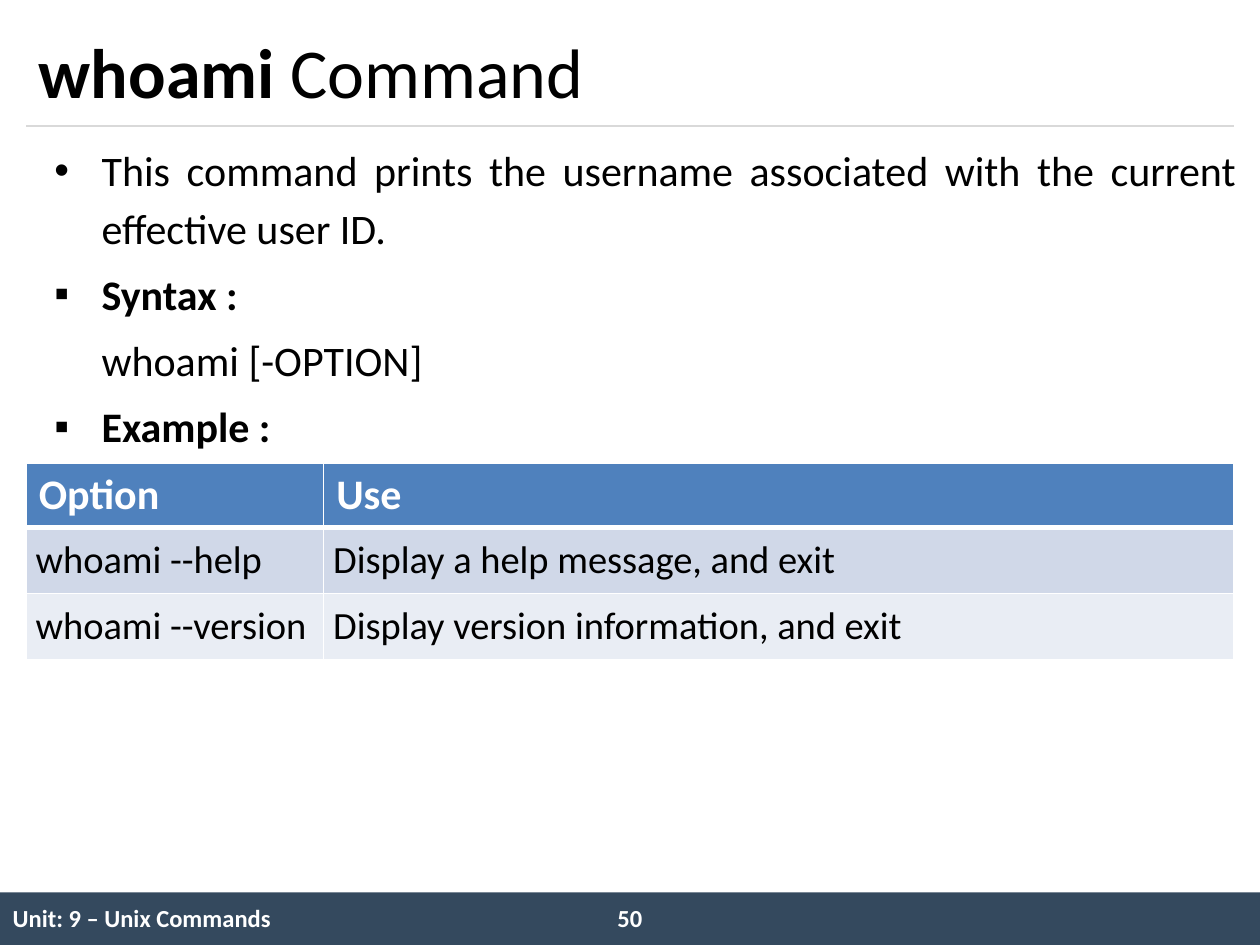
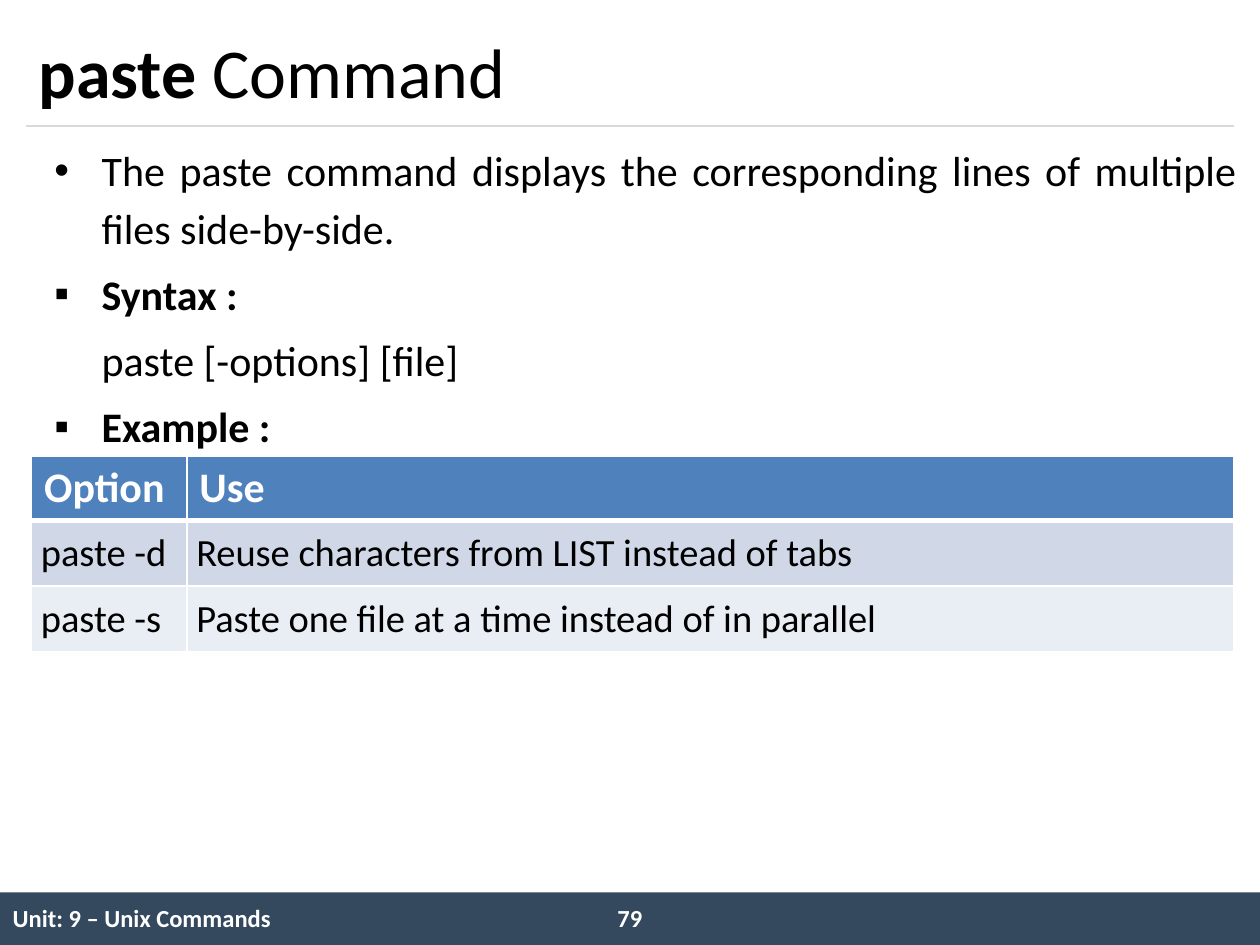
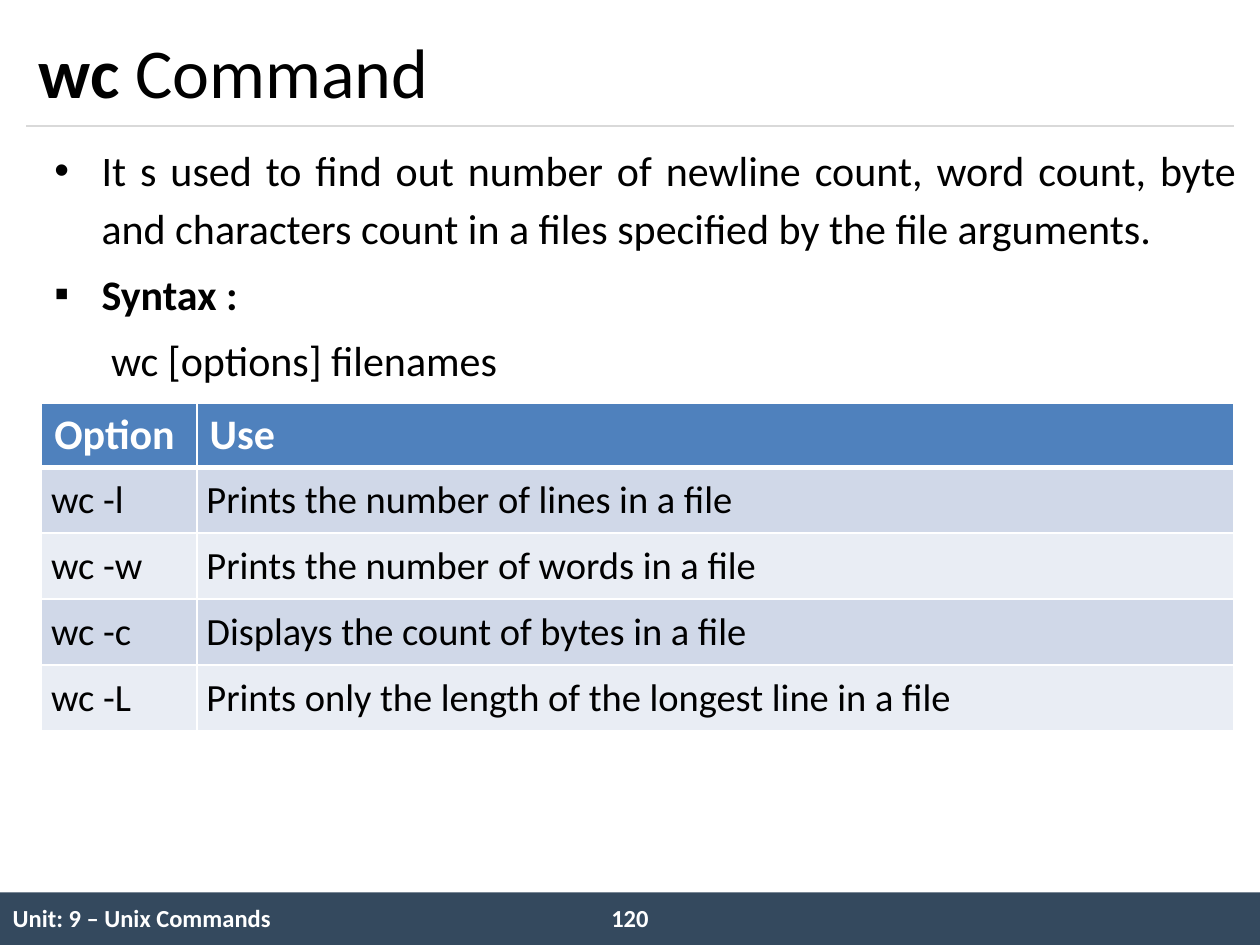
from lxml import etree
from pptx import Presentation
from pptx.dml.color import RGBColor
from pptx.enum import shapes, text
from pptx.oxml import ns
from pptx.util import Pt

# Shared style
FONT = "Calibri"
BLACK = RGBColor(0x00, 0x00, 0x00)
WHITE = RGBColor(0xFF, 0xFF, 0xFF)
NAVY = RGBColor(0x34, 0x49, 0x5E)
RULE_GREY = RGBColor(0xD9, 0xD9, 0xD9)
HEADER_BLUE = RGBColor(0x4F, 0x81, 0xBD)
ROW_BANDS = RGBColor(0xD0, 0xD8, 0xE8), RGBColor(0xE9, 0xED, 0xF4)
WIDTH, HEIGHT = 720, 540
LEFT, RIGHT = 15, 705
FOOTER_TOP = 510
FOOTER_COLUMNS = 366, 48, 306
INDENT = 27
HEADER_HEIGHT, ROW_HEIGHT = 36.5, 37.7
UNIT = "Unit: 9 – Unix Commands"

# Description, syntax, whether an example follows, table place and option rows
COMMANDS = [
    dict(name="whoami", page=50, example=True,
         about="This command prints the username associated with the current "
               "effective user ID.",
         syntax="whoami [-OPTION]", syntax_indent=INDENT,
         table_left=15, table_top=264.9, option_width=170,
         options=[("whoami --help", "Display a help message, and exit"),
                  ("whoami --version", "Display version information, and exit")]),
    dict(name="paste", page=79, example=True,
         about="The paste command displays the corresponding lines of multiple "
               "files side-by-side.",
         syntax="paste [-options] [file]", syntax_indent=INDENT,
         table_left=18, table_top=260.8, option_width=88.8,
         options=[("paste -d", "Reuse characters from LIST instead of tabs"),
                  ("paste -s", "Paste one file at a time instead of in parallel")]),
    dict(name="wc", page=120, example=False,
         about="It s used to find out number of newline count, word count, byte "
               "and characters count in a files specified by the file arguments.",
         syntax="wc [options] filenames", syntax_indent=INDENT + 5.5,
         table_left=23.8, table_top=230.5, option_width=88.8,
         options=[("wc -l", "Prints the number of lines in a file"),
                  ("wc -w", "Prints the number of words in a file"),
                  ("wc -c", "Displays the count of bytes in a file"),
                  ("wc -L", "Prints only the length of the longest line in a file")]),
]


def write(paragraph, words, size=24, color=BLACK, bold=False, align=None):
    """Add one formatted run to a paragraph."""
    run = paragraph.add_run()
    run.text = words
    run.font.name = FONT
    run.font.size = Pt(size)
    run.font.bold = bold
    run.font.color.rgb = color
    if align is not None:
        paragraph.alignment = align


def set_bullet(paragraph, bullet, margin):
    properties = paragraph._p.get_or_add_pPr()
    properties.set("marL", str(Pt(margin)))
    properties.set("indent", str(Pt(-margin if bullet else 0)))
    if bullet:
        etree.SubElement(properties, ns.qn("a:buChar"), char=bullet)
    else:
        etree.SubElement(properties, ns.qn("a:buNone"))


def set_borders(cell, color=None, bottom=1):
    """Draw the four borders, or hide them when there is no colour."""
    properties = cell._tc.get_or_add_tcPr()
    for side, width in (("L", 1), ("R", 1), ("T", 1), ("B", bottom)):
        line = etree.SubElement(properties, ns.qn(f"a:ln{side}"), w=str(Pt(width)))
        if color is None:
            etree.SubElement(line, ns.qn("a:noFill"))
        else:
            fill = etree.SubElement(line, ns.qn("a:solidFill"))
            etree.SubElement(fill, ns.qn("a:srgbClr"), val=str(color))


class Deck:
    """Holds the presentation and the slide being built."""

    def __init__(self):
        self.presentation = Presentation()
        self.presentation.slide_width = Pt(WIDTH)
        self.presentation.slide_height = Pt(HEIGHT)
        self.slide = None

    def new_slide(self, page):
        layout = self.presentation.slide_layouts[1]
        self.slide = self.presentation.slides.add_slide(layout)
        self.footer(page)
        self.title_rule()

    def footer(self, page):
        # Band
        band = self.slide.shapes.add_shape(
            shapes.MSO_SHAPE.RECTANGLE, 0, Pt(FOOTER_TOP), Pt(WIDTH), Pt(HEIGHT - FOOTER_TOP))
        band.shadow.inherit = False
        band.fill.solid()
        band.fill.fore_color.rgb = NAVY
        band.line.fill.background()
        # Unit name
        table = self.table(0, FOOTER_TOP, FOOTER_COLUMNS, [HEIGHT - FOOTER_TOP])
        table.first_row = table.horz_banding = False
        for cell in table.iter_cells():
            set_borders(cell)
            cell.fill.background()
            cell.vertical_anchor = text.MSO_ANCHOR.MIDDLE
        write(table.cell(0, 0).text_frame.paragraphs[0], UNIT, size=14, color=WHITE, bold=True)
        # Page number
        box = self.slide.shapes.add_textbox(Pt(339), Pt(512.5), Pt(42), Pt(24.5))
        box.text_frame.word_wrap = True
        write(box.text_frame.paragraphs[0], str(page), size=14, color=WHITE, bold=True,
              align=text.PP_ALIGN.CENTER)

    def title_rule(self):
        rule = self.slide.shapes.add_connector(
            shapes.MSO_CONNECTOR.STRAIGHT, Pt(LEFT), Pt(72), Pt(RIGHT), Pt(72))
        rule.line.color.rgb = RULE_GREY
        rule.line.width = Pt(0.75)
        etree.SubElement(rule._element.spPr, ns.qn("a:effectLst"))

    def placeholder(self, index, left, top, width, height, anchor):
        shape = self.slide.placeholders[index]
        shape.left, shape.top = Pt(left), Pt(top)
        shape.width, shape.height = Pt(width), Pt(height)
        shape.text_frame.auto_size = text.MSO_AUTO_SIZE.NONE
        shape.text_frame.vertical_anchor = anchor
        return shape.text_frame

    def title(self, name):
        frame = self.placeholder(0, LEFT, 8.5, RIGHT - LEFT, 63.5, text.MSO_ANCHOR.MIDDLE)
        paragraph = frame.paragraphs[0]
        write(paragraph, name, size=40, bold=True, align=text.PP_ALIGN.LEFT)
        write(paragraph, " Command", size=40)

    def body(self, items):
        frame = self.placeholder(1, 23.8, 75, 690, 420, text.MSO_ANCHOR.TOP)
        for number, (words, bullet, margin, bold) in enumerate(items):
            paragraph = frame.add_paragraph() if number else frame.paragraphs[0]
            set_bullet(paragraph, bullet, margin)
            paragraph.line_spacing = 1.14
            paragraph.space_before = Pt(5 if number else 0)
            write(paragraph, words, bold=bold, align=text.PP_ALIGN.JUSTIFY)

    def table(self, left, top, widths, heights):
        table = self.slide.shapes.add_table(
            len(heights), len(widths), Pt(left), Pt(top),
            Pt(sum(widths)), Pt(sum(heights))).table
        for column, width in zip(table.columns, widths):
            column.width = Pt(width)
        for row, height in zip(table.rows, heights):
            row.height = Pt(height)
        return table

    def option_table(self, left, top, option_width, options):
        widths = option_width, RIGHT - left - option_width
        heights = [HEADER_HEIGHT] + [ROW_HEIGHT] * len(options)
        table = self.table(left, top, widths, heights)
        for row, values in enumerate([("Option", "Use"), *options]):
            for column, words in enumerate(values):
                align = text.PP_ALIGN.JUSTIFY if column else text.PP_ALIGN.LEFT
                self.option_cell(table.cell(row, column), words, row, align)

    def option_cell(self, cell, words, row, align):
        header = row == 0
        set_borders(cell, WHITE, bottom=3 if header else 1)
        cell.fill.solid()
        cell.fill.fore_color.rgb = HEADER_BLUE if header else ROW_BANDS[(row - 1) % 2]
        cell.vertical_anchor = text.MSO_ANCHOR.MIDDLE
        if not header:
            cell.margin_left = cell.margin_right = Pt(5.4)
            cell.margin_top = cell.margin_bottom = 0
        write(cell.text_frame.paragraphs[0], words, size=24 if header else 22,
              color=WHITE if header else BLACK, bold=header, align=align)


def main():
    deck = Deck()
    for command in COMMANDS:
        deck.new_slide(command["page"])
        deck.title(command["name"])
        items = [(command["about"], "•", INDENT, False),
                 ("Syntax :", "▪", INDENT, True),
                 (command["syntax"], None, command["syntax_indent"], False)]
        if command["example"]:
            items.append(("Example :", "▪", INDENT, True))
        deck.body(items)
        deck.option_table(command["table_left"], command["table_top"],
                          command["option_width"], command["options"])
    deck.presentation.save("out.pptx")


if __name__ == "__main__":
    main()
